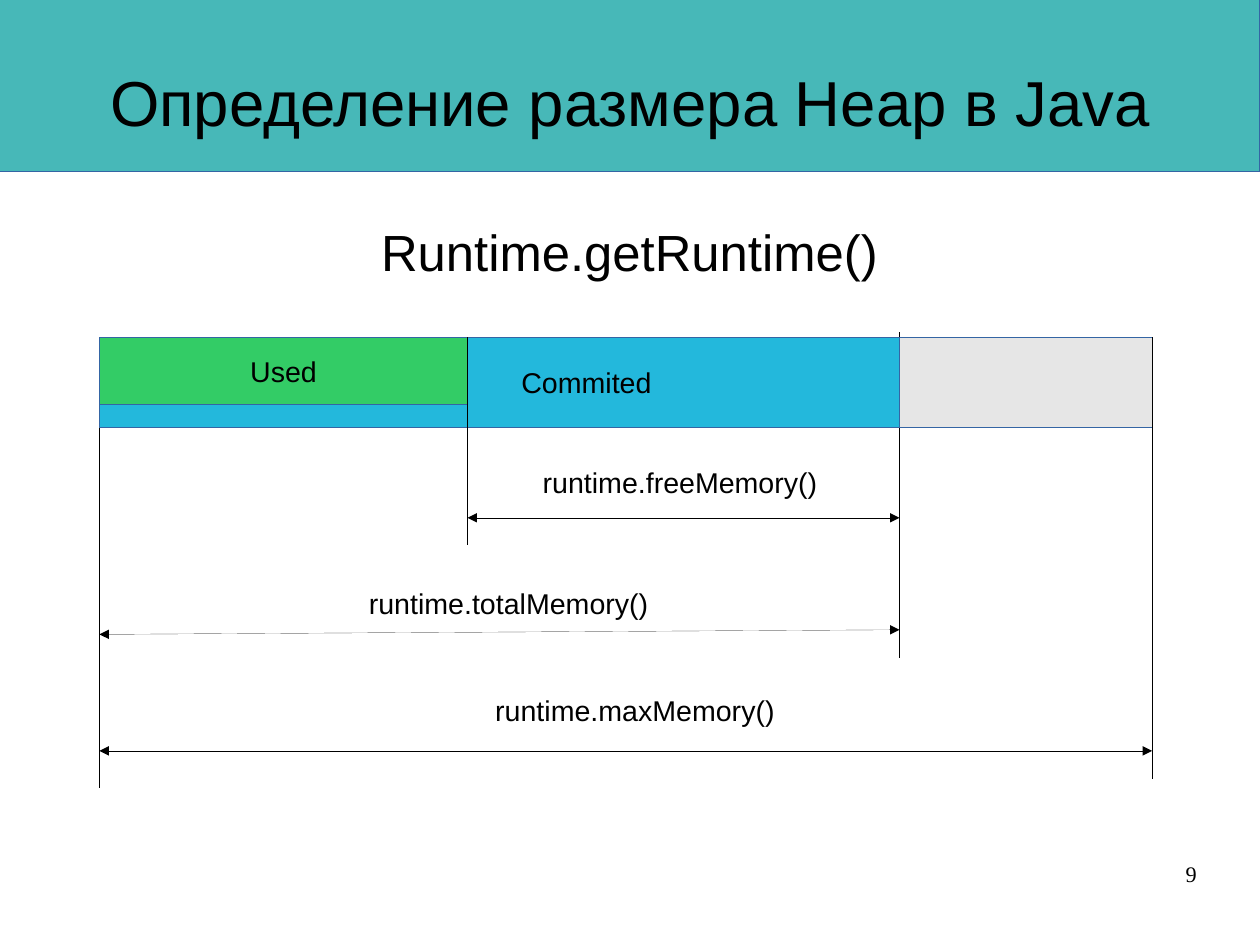
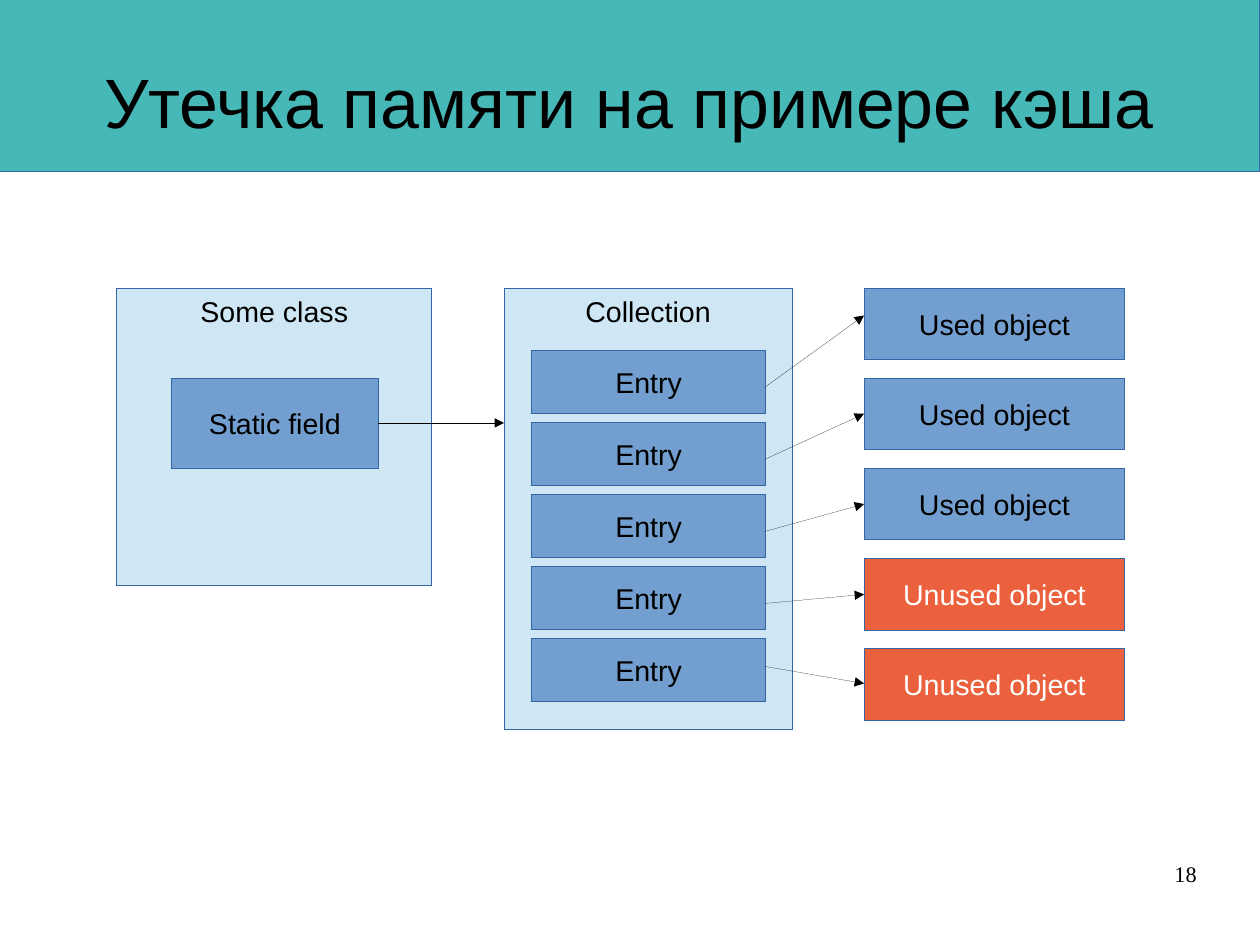
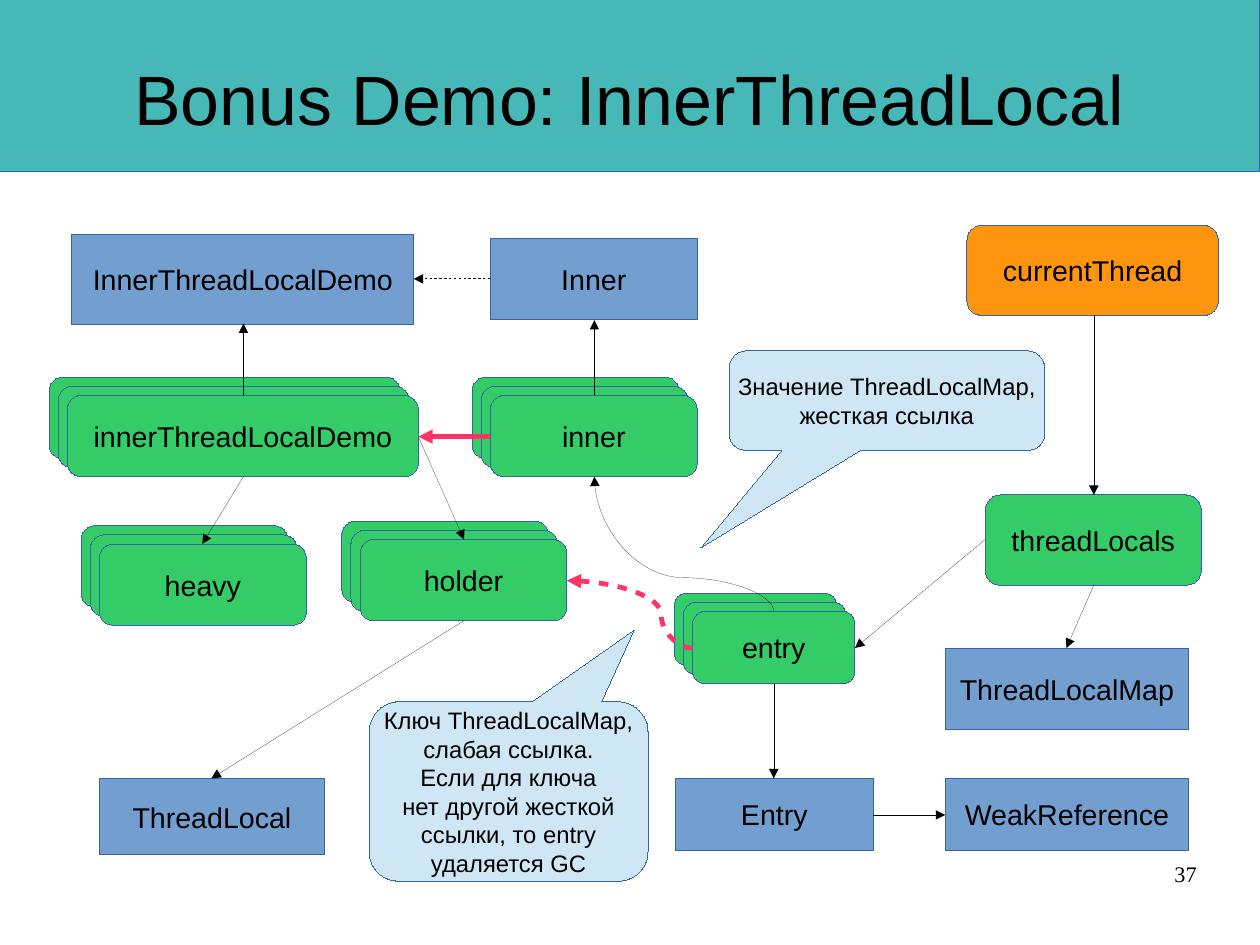
from lxml import etree
from pptx import Presentation
from pptx.dml.color import RGBColor
from pptx.enum.shapes import MSO_CONNECTOR as CONN, MSO_SHAPE as SHAPE
from pptx.enum.text import MSO_ANCHOR as ANCHOR, MSO_AUTO_SIZE as FIT, PP_ALIGN as ALIGN
from pptx.oxml.ns import qn
from pptx.util import Inches, Pt

COLORS = {
    "band": "47B8B8", "edge": "3465A4", "ink": "000000", "white": "FFFFFF",
    "blue": "729FCF", "pale": "CFE7F5", "green": "33CC66", "orange": "FF950E",
    "red": "EB613D", "cyan": "23B8DC", "grey": "E6E6E6", "pink": "FF3366",
}
SLIDE_W, SLIDE_H = 28 / 2.54, 21 / 2.54  # 28 by 21 cm
HAIRLINE = 0.01
NO_MARGINS = {f"margin_{side}": 0 for side in ("left", "right", "top", "bottom")}


def rgb(name):
    return RGBColor.from_string(COLORS[name])


# Text and shapes

def write(sp, text, size=18, color="ink", font="Arial", align=ALIGN.CENTER, **frame):
    tf = sp.text_frame
    values = {"word_wrap": False, "vertical_anchor": ANCHOR.MIDDLE, **frame}
    for name, value in values.items():
        setattr(tf, name, value)
    for i, line_text in enumerate(text.split("\n")):
        p = tf.add_paragraph() if i else tf.paragraphs[0]
        p.alignment = align
        r = p.add_run()
        r.text = line_text
        for name, value in {"name": font, "size": Pt(size)}.items():
            setattr(r.font, name, value)
        r.font.color.rgb = rgb(color)


def label(s, x, y, w, h, text, **fmt):
    sp = s.shapes.add_textbox(*map(Inches, (x, y, w, h)))
    write(sp, text, **fmt)


def box(s, x, y, w, h, fill, text="", kind=SHAPE.RECTANGLE, **fmt):
    sp = s.shapes.add_shape(kind, *map(Inches, (x, y, w, h)))
    sp.shadow.inherit = False
    sp.fill.solid()
    sp.fill.fore_color.rgb = rgb(fill)
    sp.line.color.rgb = rgb("edge")
    sp.line.width = Pt(HAIRLINE)
    if text:
        write(sp, text, **fmt)
    return sp


def rounded(s, x, y, w, h, text="", fill="green"):
    box(s, x, y, w, h, fill, text, kind=SHAPE.ROUNDED_RECTANGLE)


def stack(s, x, y, w, h, text):
    """Three overlapping cards, the front one labelled."""
    for shift in (0.16, 0.08):
        rounded(s, x - shift, y - shift, w, h)
    rounded(s, x, y, w, h, text)


def callout(s, x, y, w, h, tip, text):
    sp = box(s, x, y, w, h, "pale", text, kind=SHAPE.ROUNDED_RECTANGULAR_CALLOUT, size=15)
    for i, value in enumerate(tip):
        sp.adjustments[i] = value


# Lines

def line(s, start, end, ends=(), color="ink", width=HAIRLINE, dash=0, kind=CONN.STRAIGHT):
    """Dash and gap length is given in line widths; 0 is solid."""
    cxn = s.shapes.add_connector(kind, *map(Inches, (*start, *end)))
    cxn.line.color.rgb = rgb(color)
    cxn.line.width = Pt(width)
    sp_pr = cxn._element.spPr
    ln = sp_pr.find(qn("a:ln"))
    if dash:
        pattern = etree.SubElement(ln, qn("a:custDash"))
        length = str(dash * 100000)
        etree.SubElement(pattern, qn("a:ds"), d=length, sp=length)
    for name in ends:
        etree.SubElement(ln, qn(f"a:{name}"), type="triangle")
    etree.SubElement(sp_pr, qn("a:effectLst"))
    return cxn


def arrow(s, start, end, **fmt):
    return line(s, start, end, ends=("tailEnd",), **fmt)


def span(s, start, end):
    line(s, start, end, ends=("headEnd", "tailEnd"))


def curve(s, start, end, upward=False, **fmt):
    """Curved arrow to the left; upward makes it leave vertically."""
    if upward:
        (x1, y1), (x2, y2) = start, end
        cx, cy = (x1 + x2) / 2, (y1 + y2) / 2
        half_w, half_h = (y1 - y2) / 2, (x1 - x2) / 2
        start, end = (cx - half_w, cy + half_h), (cx + half_w, cy - half_h)
    cxn = arrow(s, start, end, kind=CONN.CURVE, **fmt)
    sp_pr = cxn._element.spPr
    if upward:
        sp_pr.find(qn("a:xfrm")).set("rot", str(270 * 60000))
    geom = sp_pr.find(qn("a:prstGeom"))
    guides = geom.find(qn("a:avLst"))
    if guides is None:
        guides = etree.SubElement(geom, qn("a:avLst"))
    etree.SubElement(guides, qn("a:gd"), name="adj1", fmla="val 25000")


# Shared slide frame

def new_slide(prs, title, number, size=44, top=0.19):
    s = prs.slides.add_slide(prs.slide_layouts[6])
    box(s, 0, 0, SLIDE_W, 1.5, "band")
    label(s, 0.55, top, 9.92, 1.38, title, size=size, word_wrap=True,
          auto_size=FIT.NONE, **NO_MARGINS)
    label(s, 7.9, 7.53, 2.57, 0.57, str(number), size=14, font="Times New Roman",
          align=ALIGN.RIGHT, word_wrap=True, vertical_anchor=ANCHOR.TOP, **NO_MARGINS)
    return s


# Slides

def heap_slide(prs):
    s = new_slide(prs, "Определение размера Heap в Java", 9, size=40)
    label(s, 0.55, 1.93, 9.92, 4.79, "Runtime.getRuntime()", size=32,
          word_wrap=True, vertical_anchor=ANCHOR.TOP, **NO_MARGINS)
    left, used, total, maximum = 0.87, 4.09, 7.87, 10.08
    bar_top, bar_h = 2.95, 0.79

    # Memory bar and its boundaries
    box(s, total, bar_top, maximum - total, bar_h, "grey")
    for x, top, bottom in ((total, 2.91, 5.75), (maximum, bar_top, 6.81), (left, bar_top, 6.89)):
        line(s, (x, top), (x, bottom))
    committed = box(s, left, bar_top, total - left, bar_h, "cyan", "Commited", word_wrap=True)
    committed.text_frame.margin_left = Inches(1.62)
    box(s, left, bar_top, used - left, 0.59, "green", "Used")
    line(s, (used, bar_top), (used, 4.76))

    # Measured spans
    span(s, (used, 4.53), (total, 4.53))
    span(s, (total, 5.51), (left, 5.55))
    span(s, (left, 6.57), (maximum, 6.57))
    for x, y, w, h, name in ((4.57, 3.9, 2.76, 0.63, "free"), (3.07, 4.96, 2.76, 0.63, "total"),
                             (3.86, 5.94, 3.39, 0.55, "max")):
        label(s, x, y, w, h, f"runtime.{name}Memory()")


def cache_slide(prs):
    s = new_slide(prs, "Утечка памяти на примере кэша", 18)
    box(s, 1.02, 2.52, 2.76, 2.6, "pale", "Some class", vertical_anchor=ANCHOR.TOP)
    box(s, 4.41, 2.52, 2.52, 3.86, "pale", "Collection", vertical_anchor=ANCHOR.TOP)
    box(s, 1.5, 3.31, 1.81, 0.79, "blue", "Static field")
    arrow(s, (3.31, 3.7), (4.41, 3.7))

    # Each entry points to its object
    links = ((3.39, 2.76), (4.02, 3.62), (4.65, 4.41), (5.28, 5.2), (5.83, 5.98))
    for i, (start_y, end_y) in enumerate(links):
        box(s, 4.65, 3.07 + 0.63 * i, 2.05, 0.55, "blue", "Entry")
        fill, text, color = (("blue", "Used object", "ink") if i < 3
                             else ("red", "Unused object", "white"))
        box(s, 7.56, 2.52 + 3.15 / 4 * i, 2.28, 0.63, fill, text, color=color)
        arrow(s, (6.69, start_y), (7.56, end_y))


def thread_local_slide(prs):
    s = new_slide(prs, "Bonus Demo: InnerThreadLocal", 37, top=0.16)

    # Classes
    for x, y, w, h, name in (
        (0.63, 2.05, 2.99, 0.79, "InnerThreadLocalDemo"),
        (4.29, 2.09, 1.81, 0.71, "Inner"),
        (0.87, 6.81, 1.97, 0.67, "ThreadLocal"),
        (8.27, 5.67, 2.13, 0.71, "ThreadLocalMap"),
        (5.91, 6.81, 1.73, 0.63, "Entry"),
        (8.27, 6.81, 2.13, 0.63, "WeakReference"),
    ):
        box(s, x, y, w, h, "blue", name)

    # Instances
    for x, y, w, h, name in (
        (0.59, 3.46, 3.07, 0.71, "innerThreadLocalDemo"),
        (4.29, 3.46, 1.81, 0.71, "inner"),
        (0.87, 4.76, 1.81, 0.71, "heavy"),
        (3.15, 4.72, 1.81, 0.71, "holder"),
        (6.06, 5.35, 1.42, 0.63, "entry"),
    ):
        stack(s, x, y, w, h, name)
    rounded(s, 8.46, 1.97, 2.2, 0.79, "currentThread", "orange")
    rounded(s, 8.62, 4.33, 1.89, 0.79, "threadLocals")

    # References
    for start, end in (
        ((2.13, 4.17), (1.77, 4.76)),
        ((5.2, 3.46), (5.2, 2.8)),
        ((2.13, 3.46), (2.13, 2.83)),
        ((3.66, 3.82), (4.06, 4.72)),
        ((4.06, 5.43), (1.85, 6.81)),
        ((9.57, 2.76), (9.57, 4.33)),
        ((9.57, 5.12), (9.33, 5.67)),
        ((8.62, 4.72), (7.48, 5.67)),
        ((6.77, 5.98), (6.77, 6.81)),
        ((7.64, 7.13), (8.27, 7.13)),
    ):
        arrow(s, start, end)
    arrow(s, (4.29, 2.44), (3.62, 2.44), width=0.51, dash=3)
    arrow(s, (4.29, 3.82), (3.66, 3.82), color="pink", width=3)
    curve(s, (6.06, 5.67), (4.96, 5.08), color="pink", width=3, dash=2)
    curve(s, (6.77, 5.35), (5.2, 4.17), upward=True)

    # Explanations
    callout(s, 3.23, 6.14, 2.44, 1.57, (0.45, -0.9),
            "Ключ ThreadLocalMap,\nслабая ссылка.\nЕсли для ключа\n"
            "нет другой жесткой\nссылки, то entry\nудаляется GC")
    callout(s, 6.38, 3.07, 2.76, 0.87, (-0.59, 1.48),
            "Значение ThreadLocalMap,\nжесткая ссылка")


def main():
    prs = Presentation()
    prs.slide_width, prs.slide_height = Inches(SLIDE_W), Inches(SLIDE_H)
    heap_slide(prs)
    cache_slide(prs)
    thread_local_slide(prs)
    prs.save("out.pptx")


main()
